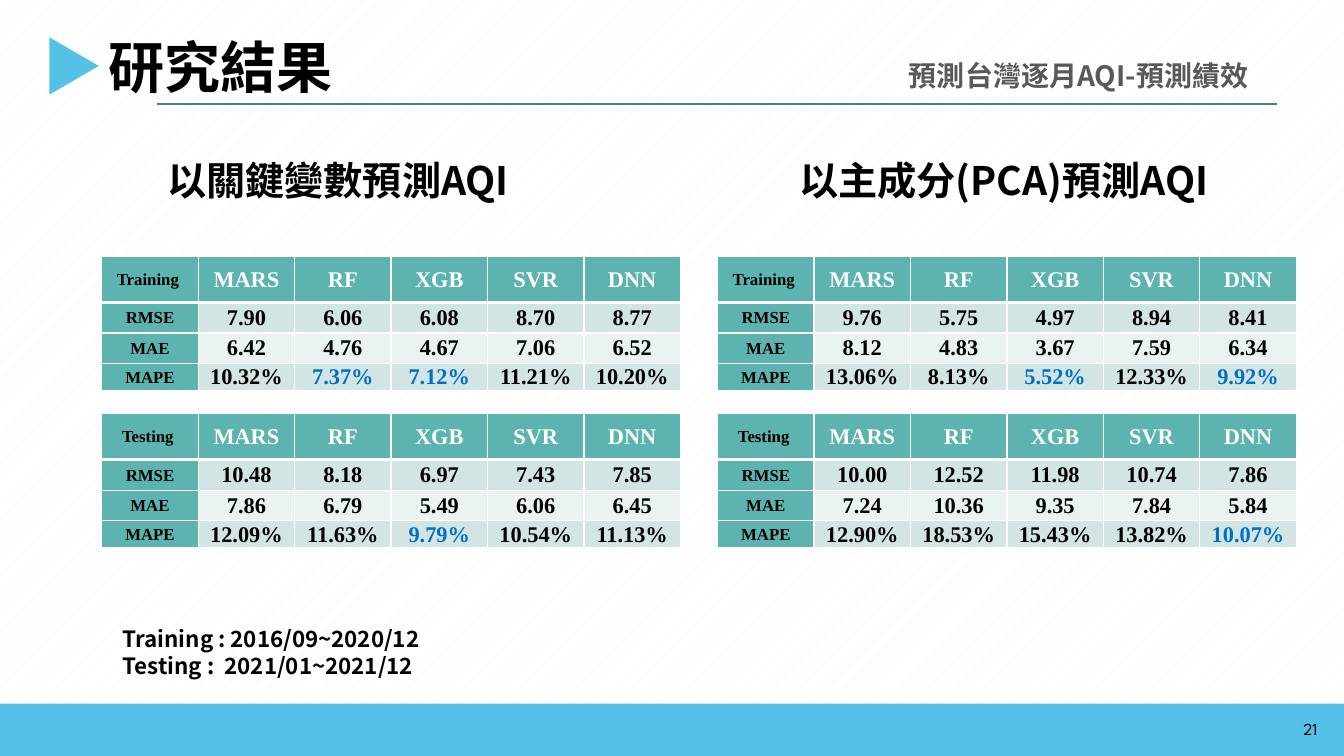
from lxml import etree
from pptx import Presentation
from pptx.dml.color import RGBColor
from pptx.enum.dml import MSO_PATTERN
from pptx.enum.shapes import MSO_CONNECTOR, MSO_SHAPE
from pptx.enum.text import MSO_ANCHOR, MSO_AUTO_SIZE, PP_ALIGN
from pptx.oxml.ns import qn
from pptx.util import Pt

LEFT, CENTER, RIGHT = PP_ALIGN.LEFT, PP_ALIGN.CENTER, PP_ALIGN.RIGHT
TOP, MIDDLE = MSO_ANCHOR.TOP, MSO_ANCHOR.MIDDLE
FIT_SHAPE = MSO_AUTO_SIZE.SHAPE_TO_FIT_TEXT

BLACK = RGBColor(0x00, 0x00, 0x00)
WHITE = RGBColor(0xFF, 0xFF, 0xFF)
GRAY = RGBColor(0x59, 0x59, 0x59)
PALE_GRAY = RGBColor(0xF2, 0xF2, 0xF2)
SKY = RGBColor(0x55, 0xC1, 0xE7)
RULE_GREEN = RGBColor(0x45, 0x84, 0x82)
TEAL = RGBColor(0x5D, 0xB3, 0xB0)
BAND_DARK = RGBColor(0xD2, 0xE5, 0xE4)
BAND_LIGHT = RGBColor(0xEA, 0xF2, 0xF2)
BEST_BLUE = RGBColor(0x00, 0x70, 0xC0)

SANS = "Noto Sans CJK SC"
SERIF = "Times New Roman"


def write(frame, *lines, size, font=SANS, color=BLACK, bold=True, align=LEFT,
          spacing=1.0, before=0, after=0):
    """Fill a text frame with one paragraph per line, all in one format."""
    for number, line in enumerate(lines):
        para = frame.add_paragraph() if number else frame.paragraphs[0]
        para.alignment = align
        para.line_spacing = spacing
        para.space_before, para.space_after = Pt(before), Pt(after)
        span = para.add_run()
        span.text = line
        span.font.size, span.font.bold = Pt(size), bold
        span.font.name = font
        span.font.color.rgb = color
        east_asian = etree.SubElement(span.font._element, qn("a:ea"))
        east_asian.set("typeface", font)


def add_borders(cell, widths):
    """Draw white borders; widths maps a side (L, R, T, B) to points."""
    properties = cell._tc.get_or_add_tcPr()
    for side, width in widths.items():
        line = etree.SubElement(properties, qn(f"a:ln{side}"), w=str(Pt(width)))
        fill = etree.SubElement(line, qn("a:solidFill"))
        etree.SubElement(fill, qn("a:srgbClr"), val=str(WHITE))


deck = Presentation()
deck.slide_width, deck.slide_height = Pt(960), Pt(540)
page = deck.slides.add_slide(deck.slide_layouts[5])
background = page.background.fill
background.patterned()
background.pattern = MSO_PATTERN.PERCENT_5
background.fore_color.rgb = PALE_GRAY
background.back_color.rgb = WHITE

# Title, rule, marker and footer band
title = page.shapes.title
title.left, title.top, title.width, title.height = Pt(70.6), Pt(19.4), Pt(184.3), Pt(55.4)
title.text_frame.word_wrap = True
title.text_frame.auto_size = FIT_SHAPE
title.text_frame.vertical_anchor = TOP
write(title.text_frame, "研究結果", size=40)

rule = page.shapes.add_connector(MSO_CONNECTOR.STRAIGHT, Pt(112.3), Pt(74.2), Pt(912.2), Pt(74.2))
rule.line.color.rgb = RULE_GREEN
rule.line.width = Pt(1)
etree.SubElement(rule._element.spPr, qn("a:effectLst"))

marker = page.shapes.add_shape(MSO_SHAPE.ISOSCELES_TRIANGLE, Pt(32.4), Pt(29.5), Pt(41), Pt(35.3))
marker.rotation = 90
footer = page.shapes.add_shape(MSO_SHAPE.RECTANGLE, 0, Pt(502.6), Pt(960), Pt(37.4))
for shape in (marker, footer):
    shape.shadow.inherit = False
    shape.fill.solid()
    shape.fill.fore_color.rgb = SKY
    shape.line.fill.background()

# Text boxes: left, top, width, height, lines, format
TEXTS = [
    (642.2, 34.6, 283, 33.1, ["預測台灣逐月AQI-預測績效"],
     dict(size=20, color=GRAY, spacing=1.14)),
    (112.3, 108, 267.8, 41, ["以關鍵變數預測AQI"], dict(size=28)),
    (563.8, 108, 337, 41, ["以主成分(PCA)預測AQI"], dict(size=28)),
    (80.6, 442.8, 484.6, 46.1,
     ["Training : 2016/09~2020/12", "Testing :  2021/01~2021/12"], dict(size=16)),
    (732.2, 511.2, 216, 20.2, ["21"],
     dict(size=12, font="League Spartan", bold=False, align=RIGHT, spacing=0.9, before=10)),
]
for left, top, width, height, lines, style in TEXTS:
    box = page.shapes.add_textbox(Pt(left), Pt(top), Pt(width), Pt(height))
    box.text_frame.word_wrap = True
    box.text_frame.auto_size = FIT_SHAPE
    box.text_frame.vertical_anchor = MIDDLE if "before" in style else TOP
    write(box.text_frame, *lines, **style)

# Result tables: left, top, corner label, rows of values, blue MAPE columns
MODELS = ["MARS", "RF", "XGB", "SVR", "DNN"]
METRICS = ["RMSE", "MAE", "MAPE"]
ROW_HEIGHTS = [33.1, 21.9, 21.9, 19.4]
COLUMN_WIDTH = 68.9
KEY_LEFT, PCA_LEFT = 72.7, 512.6
TRAINING_TOP, TESTING_TOP = 182.9, 295.2
RESULTS = [
    (KEY_LEFT, TRAINING_TOP, "Training ",
     [["7.90", "6.06", "6.08", "8.70", "8.77"],
      ["6.42", "4.76", "4.67", "7.06", "6.52"],
      ["10.32%", "7.37%", "7.12%", "11.21%", "10.20%"]], ["RF", "XGB"]),
    (KEY_LEFT, TESTING_TOP, "Testing ",
     [["10.48", "8.18", "6.97", "7.43", "7.85"],
      ["7.86", "6.79", "5.49", "6.06", "6.45"],
      ["12.09%", "11.63%", "9.79%", "10.54%", "11.13%"]], ["XGB"]),
    (PCA_LEFT, TRAINING_TOP, "Training ",
     [["9.76", "5.75", "4.97", "8.94", "8.41"],
      ["8.12", "4.83", "3.67", "7.59", "6.34"],
      ["13.06%", "8.13%", "5.52%", "12.33%", "9.92%"]], ["XGB", "DNN"]),
    (PCA_LEFT, TESTING_TOP, "Testing ",
     [["10.00", "12.52", "11.98", "10.74", "7.86"],
      ["7.24", "10.36", "9.35", "7.84", "5.84"],
      ["12.90%", "18.53%", "15.43%", "13.82%", "10.07%"]], ["DNN"]),
]
for left, top, corner, values, best_models in RESULTS:
    rows = [[corner, *MODELS]] + [[metric, *row] for metric, row in zip(METRICS, values)]
    table = page.shapes.add_table(len(rows), len(rows[0]), Pt(left), Pt(top),
                                  Pt(COLUMN_WIDTH * len(rows[0])), Pt(sum(ROW_HEIGHTS))).table
    for column in table.columns:
        column.width = Pt(COLUMN_WIDTH)
    for r, row in enumerate(rows):
        table.rows[r].height = Pt(ROW_HEIGHTS[r])
        for c, text in enumerate(row):
            cell = table.cell(r, c)
            is_label = r == 0 or c == 0
            is_best = r == 3 and c > 0 and MODELS[c - 1] in best_models
            cell.vertical_anchor = MIDDLE
            cell.margin_left = cell.margin_right = Pt(7.7 if is_label else 5)
            cell.margin_top = cell.margin_bottom = 0
            add_borders(cell, {"L": 1, "R": 1, "T": 3 if r == 1 else 1, "B": 3 if r == 0 else 1})
            cell.fill.solid()
            cell.fill.fore_color.rgb = TEAL if is_label else BAND_LIGHT if r == 2 else BAND_DARK
            write(cell.text_frame, text, size=16 if c else 12, font=SERIF, align=CENTER,
                  color=WHITE if r == 0 and c else BEST_BLUE if is_best else BLACK,
                  spacing=1.07 if is_label else 1.0, after=8 if is_label else 0)

deck.save("out.pptx")
